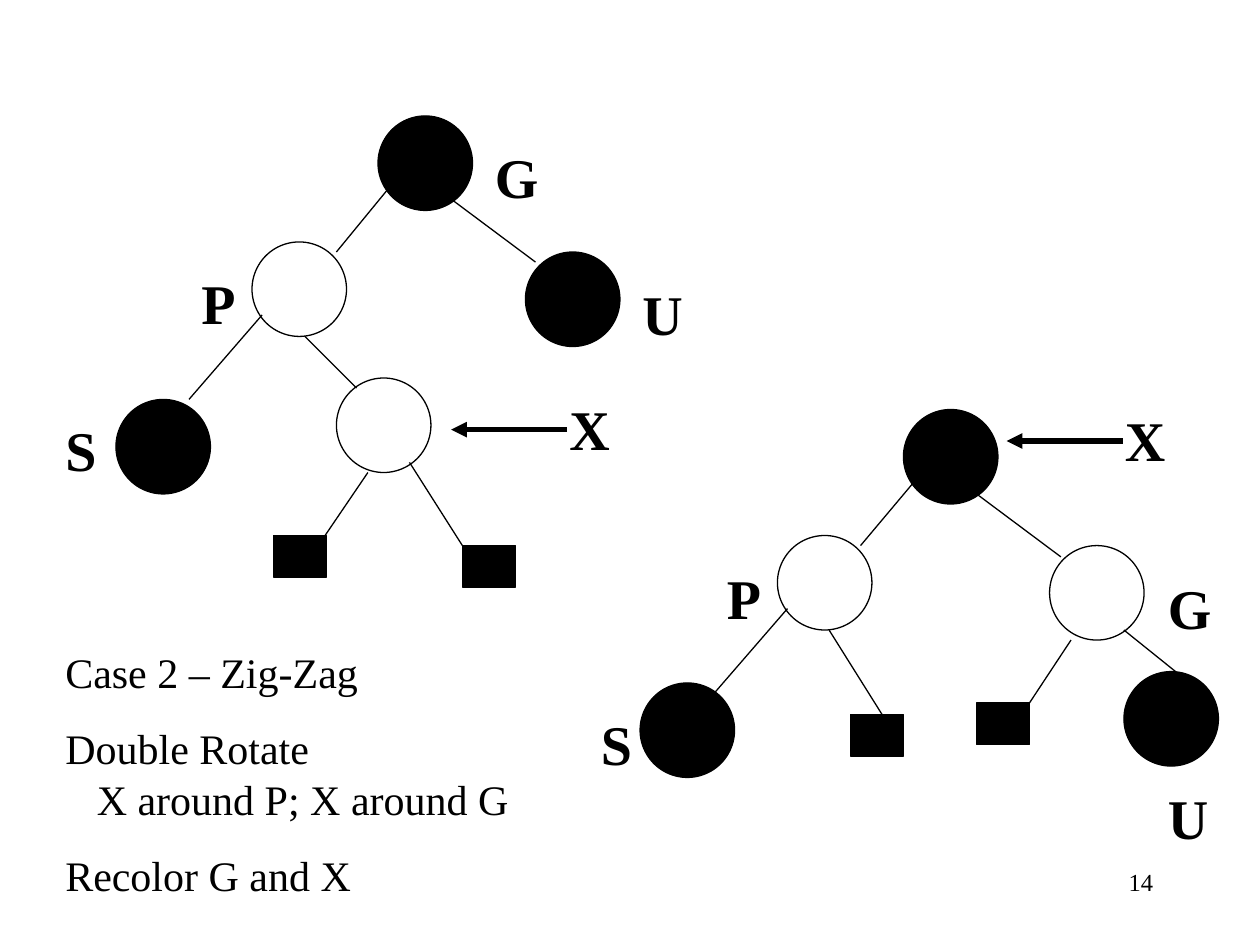
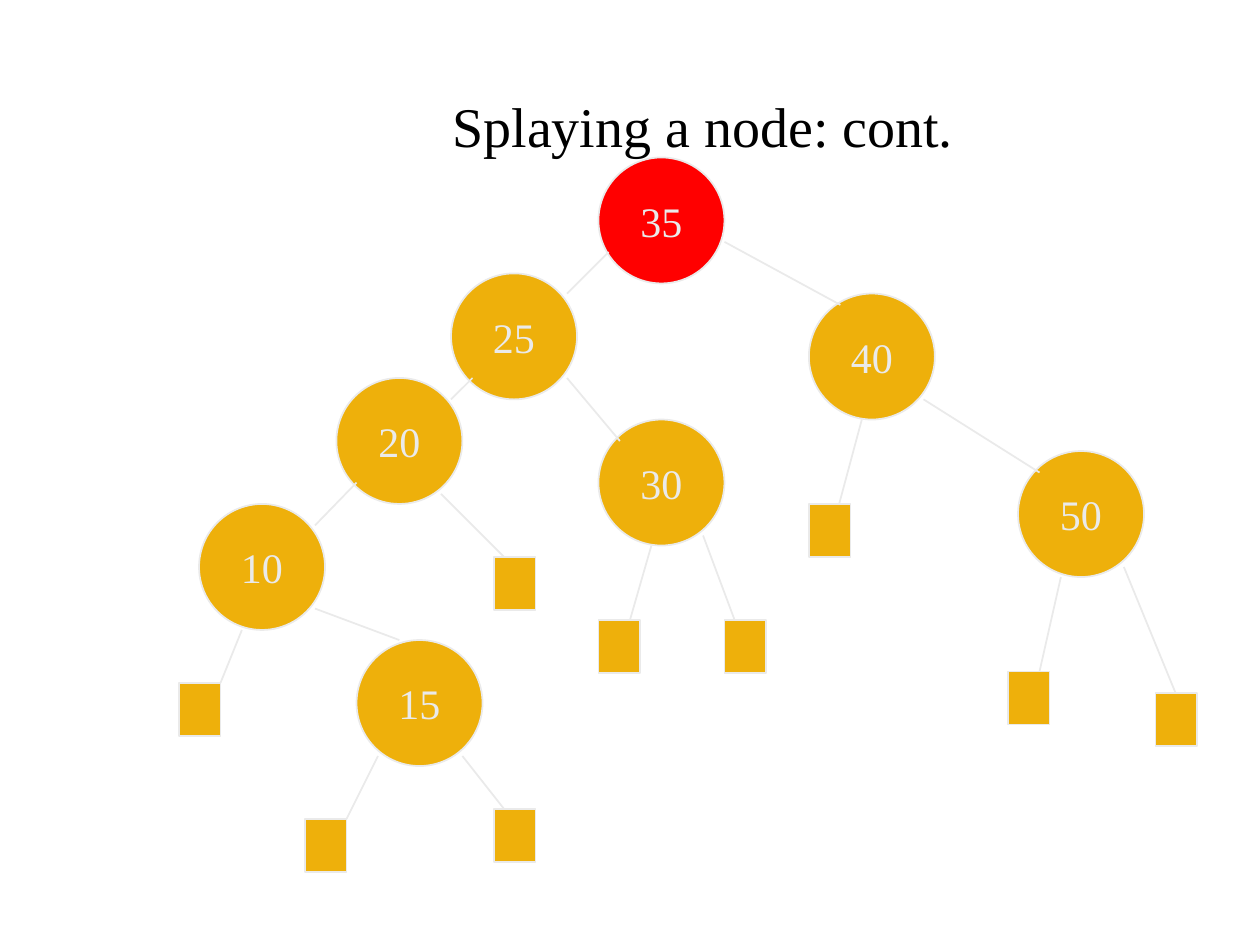
from lxml.etree import SubElement
from pptx import Presentation
from pptx.dml.color import RGBColor
from pptx.enum.shapes import MSO_CONNECTOR, MSO_SHAPE
from pptx.enum.text import MSO_ANCHOR, PP_ALIGN
from pptx.oxml.ns import qn
from pptx.util import Inches, Pt

FONT = "Times New Roman"
BLACK, WHITE = "000000", "FFFFFF"
GOLD, RED, PALE = "EEB00B", "FF0000", "EAEAEA"


def write(frame, text, size=24, color=BLACK, bold=False, align=PP_ALIGN.LEFT,
          anchor=MSO_ANCHOR.TOP, wrap=True, gap=0, indents=()):
    """Fill a frame, one paragraph a line; lines listed in indents are set in, without a gap."""
    frame.word_wrap = wrap
    frame.vertical_anchor = anchor
    frame.text = text
    for number, para in enumerate(frame.paragraphs):
        para.alignment = align
        para.space_before = Pt(gap if number and number not in indents else 0)
        if number in indents:
            para._p.get_or_add_pPr().set("marL", str(Inches(0.25)))
        for span in para.runs:
            span.font.name = FONT
            span.font.size = Pt(size)
            span.font.bold = bold
            span.font.color.rgb = RGBColor.from_string(color)


def paint(item, line, width, fill=None):
    """Colour a shape, or a connector when there is no fill, and take off its shadow."""
    item.line.color.rgb = RGBColor.from_string(line)
    item.line.width = Pt(width)
    if fill:
        item.fill.solid()
        item.fill.fore_color.rgb = RGBColor.from_string(fill)
        item.shadow.inherit = False
    else:
        SubElement(item._element.spPr, qn("a:effectLst"))


deck = Presentation()
deck.slide_width, deck.slide_height = Inches(10), Inches(7.5)

# Slide 1: zig-zag case, before and after the double rotation
page = deck.slides.add_slide(deck.slide_layouts[6])

circles = [
    (3, 0.92, BLACK), (2, 1.92, WHITE), (4.17, 2, BLACK), (2.67, 3, WHITE), (0.92, 3.17, BLACK),
    (7.17, 3.25, BLACK), (6.17, 4.25, WHITE), (8.33, 4.33, WHITE), (8.92, 5.33, BLACK),
    (5.08, 5.42, BLACK),
]
for left, top, fill in circles:
    circle = page.shapes.add_shape(MSO_SHAPE.OVAL, Inches(left), Inches(top),
                                   Inches(0.75), Inches(0.75))
    paint(circle, BLACK, 0.75, fill)

for left, top in [(2.17, 4.25), (3.67, 4.33), (7.75, 5.58), (6.75, 5.67)]:
    leaf = page.shapes.add_shape(MSO_SHAPE.RECTANGLE, Inches(left), Inches(top),
                                 Inches(0.42), Inches(0.33))
    paint(leaf, BLACK, 0.75, BLACK)

branches = [
    (3.08, 1.5, 2.67, 2), (3.58, 1.58, 4.25, 2.08), (2.42, 2.67, 2.83, 3.08),
    (2.92, 3.75, 2.58, 4.25), (3.25, 3.67, 3.67, 4.33), (2.08, 2.5, 1.5, 3.17),
    (7.25, 3.83, 6.83, 4.33), (7.75, 3.92, 8.42, 4.42), (8.92, 5, 9.33, 5.33),
    (8.5, 5.08, 8.17, 5.58), (6.58, 5, 7, 5.67), (6.25, 4.83, 5.67, 5.5),
]
for ends in branches:
    branch = page.shapes.add_connector(MSO_CONNECTOR.STRAIGHT, *map(Inches, ends))
    paint(branch, BLACK, 0.75)

labels = [
    ("G", 3.83, 1.08), ("P", 1.5, 2.08), ("U", 5, 2.17), ("S", 0.42, 3.25), ("X", 4.42, 3.08),
    ("X", 8.83, 3.17), ("P", 5.67, 4.42), ("G", 9.17, 4.5), ("S", 4.67, 5.58), ("U", 9.17, 6.17),
]
for name, left, top in labels:
    label = page.shapes.add_textbox(Inches(left), Inches(top), Inches(0.58), Inches(0.64))
    write(label.text_frame, name, size=32, bold=True)
    if name == "X":
        start, level = left + 0.08, top + 0.33
        arrow = page.shapes.add_connector(MSO_CONNECTOR.STRAIGHT, Inches(start), Inches(level),
                                          Inches(start - 0.92), Inches(level))
        paint(arrow, BLACK, 3)
        SubElement(arrow.line._get_or_add_ln(), qn("a:tailEnd"), type="triangle")

steps = page.shapes.add_textbox(Inches(0.42), Inches(5.08), Inches(4), Inches(2.12))
write(steps.text_frame,
      "Case 2 – Zig-Zag\nDouble Rotate\nX around P; X around G\nRecolor G and X",
      gap=15, indents=(2,))

page_number = page.shapes.add_textbox(Inches(7.17), Inches(6.83), Inches(2.08), Inches(0.5))
write(page_number.text_frame, "14", size=14, align=PP_ALIGN.RIGHT)

# Slide 2: tree after splaying
page = deck.slides.add_slide(deck.slide_layouts[5])
title = page.shapes.title
title.left, title.top = Inches(1.33), Inches(0.33)
title.width, title.height = Inches(8.5), Inches(1.32)
write(title.text_frame, "Splaying a node: cont.", size=32, align=PP_ALIGN.CENTER,
      anchor=MSO_ANCHOR.MIDDLE)

nodes = [
    (35, 4.75, 1.25), (25, 3.58, 2.17), (40, 6.42, 2.33), (20, 2.67, 3),
    (30, 4.75, 3.33), (50, 8.08, 3.58), (10, 1.58, 4), (15, 2.83, 5.08),
]
for key, left, top in nodes:
    node = page.shapes.add_shape(MSO_SHAPE.OVAL, Inches(left), Inches(top), Inches(1), Inches(1))
    paint(node, PALE, 1, RED if key == 35 else GOLD)
    write(node.text_frame, str(key), color=PALE, align=PP_ALIGN.CENTER,
          anchor=MSO_ANCHOR.MIDDLE, wrap=False)

leaves = [
    (6.42, 4), (3.92, 4.42), (4.75, 4.92), (5.75, 4.92), (8, 5.33),
    (1.42, 5.42), (9.17, 5.5), (3.92, 6.42), (2.42, 6.5),
]
for left, top in leaves:
    leaf = page.shapes.add_shape(MSO_SHAPE.RECTANGLE, Inches(left), Inches(top),
                                 Inches(0.33), Inches(0.42))
    paint(leaf, PALE, 1, GOLD)

branches = [
    (5.75, 1.92, 6.67, 2.42), (7.33, 3.17, 8.25, 3.75), (4.83, 2, 4.5, 2.33),
    (3.75, 3, 3.58, 3.17), (2.83, 3.83, 2.5, 4.17), (4.5, 3, 4.92, 3.5),
    (3.5, 3.92, 4, 4.42), (1.92, 5, 1.75, 5.42), (2.5, 4.83, 3.17, 5.08),
    (3, 6, 2.75, 6.5), (3.67, 6, 4, 6.42), (5.17, 4.33, 5, 4.92),
    (5.58, 4.25, 5.83, 4.92), (6.84, 3.33, 6.66, 4), (8.42, 4.58, 8.25, 5.33),
    (8.92, 4.5, 9.33, 5.5),
]
for ends in branches:
    branch = page.shapes.add_connector(MSO_CONNECTOR.STRAIGHT, *map(Inches, ends))
    paint(branch, PALE, 1)

deck.save("out.pptx")
